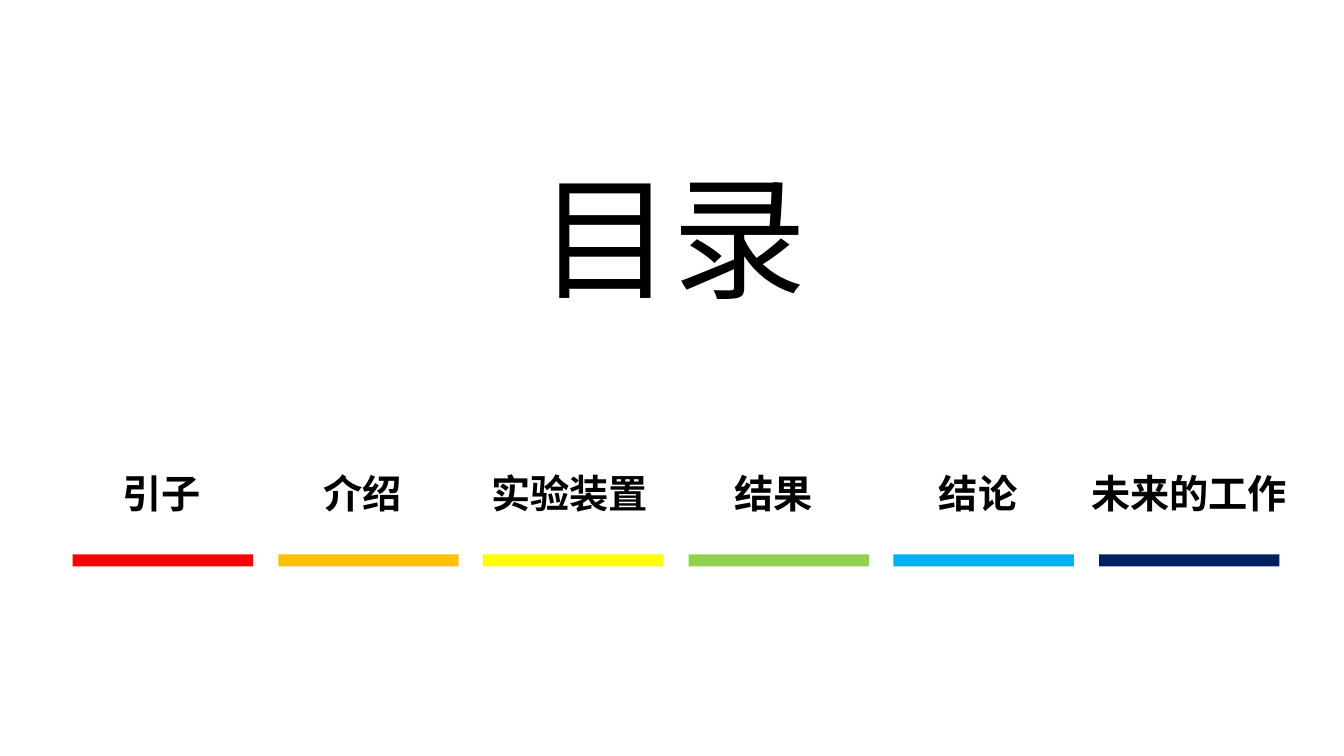
from dataclasses import dataclass

from pptx import Presentation
from pptx import util as u
from pptx.dml.color import RGBColor
from pptx.enum import shapes, text
from pptx.slide import Slide

PX = u.Inches(1) // 100
FONT = "Cabin"
COLORS = {
    "black": "000000",
    "red": "FF0000",
    "orange": "FFC000",
    "yellow": "FFFF00",
    "green": "92D050",
    "sky": "00B0F0",
    "navy": "002060",
}
BAR_LEFT, BAR_TOP, BAR_WIDTH, BAR_HEIGHT = 72, 550, 179, 12
BAR_PITCH = 203.6


@dataclass(frozen=True)
class Label:
    wording: str
    left: int
    top: int = 447
    width: int = 192
    height: int = 65
    size: int = 28
    bold: bool = True
    line_spacing: float = 1.3


@dataclass(frozen=True)
class Section:
    label: Label
    color: str


HEADING = Label("目录", 452, 148, 430, 172, size=96, bold=False, line_spacing=1.0)
SECTIONS = [
    Section(Label("引子", 64), "red"),
    Section(Label("介绍", 264), "orange"),
    Section(Label("实验装置", 469), "yellow"),
    Section(Label("结果", 671), "green"),
    Section(Label("结论", 874), "sky"),
    Section(Label("未来的工作", 1066, width=227), "navy"),
]


def rgb(color: str) -> RGBColor:
    return RGBColor.from_string(COLORS[color])


def draw_label(slide: Slide, label: Label) -> None:
    box = slide.shapes.add_textbox(
        label.left * PX, label.top * PX, label.width * PX, label.height * PX
    )
    frame = box.text_frame
    frame.word_wrap = True
    frame.auto_size = text.MSO_AUTO_SIZE.SHAPE_TO_FIT_TEXT
    paragraph = frame.paragraphs[0]
    paragraph.text = label.wording
    paragraph.alignment = text.PP_ALIGN.CENTER
    paragraph.line_spacing = label.line_spacing
    paragraph.font.name = FONT
    paragraph.font.size = u.Pt(label.size)
    paragraph.font.bold = label.bold
    paragraph.font.color.rgb = rgb("black")


def draw_bar(slide: Slide, index: int, color: str) -> None:
    left = round(BAR_LEFT + index * BAR_PITCH)
    bar = slide.shapes.add_shape(
        shapes.MSO_SHAPE.RECTANGLE,
        left * PX, BAR_TOP * PX, BAR_WIDTH * PX, BAR_HEIGHT * PX,
    )
    bar.shadow.inherit = False
    bar.fill.solid()
    bar.fill.fore_color.rgb = rgb(color)
    bar.line.fill.background()


def main() -> None:
    deck = Presentation()
    deck.slide_width = 1333 * PX
    deck.slide_height = 750 * PX
    contents = deck.slides.add_slide(deck.slide_layouts[6])
    draw_label(contents, HEADING)
    for section in SECTIONS:
        draw_label(contents, section.label)
    for index, section in enumerate(SECTIONS):
        draw_bar(contents, index, section.color)
    deck.save("out.pptx")


if __name__ == "__main__":
    main()
